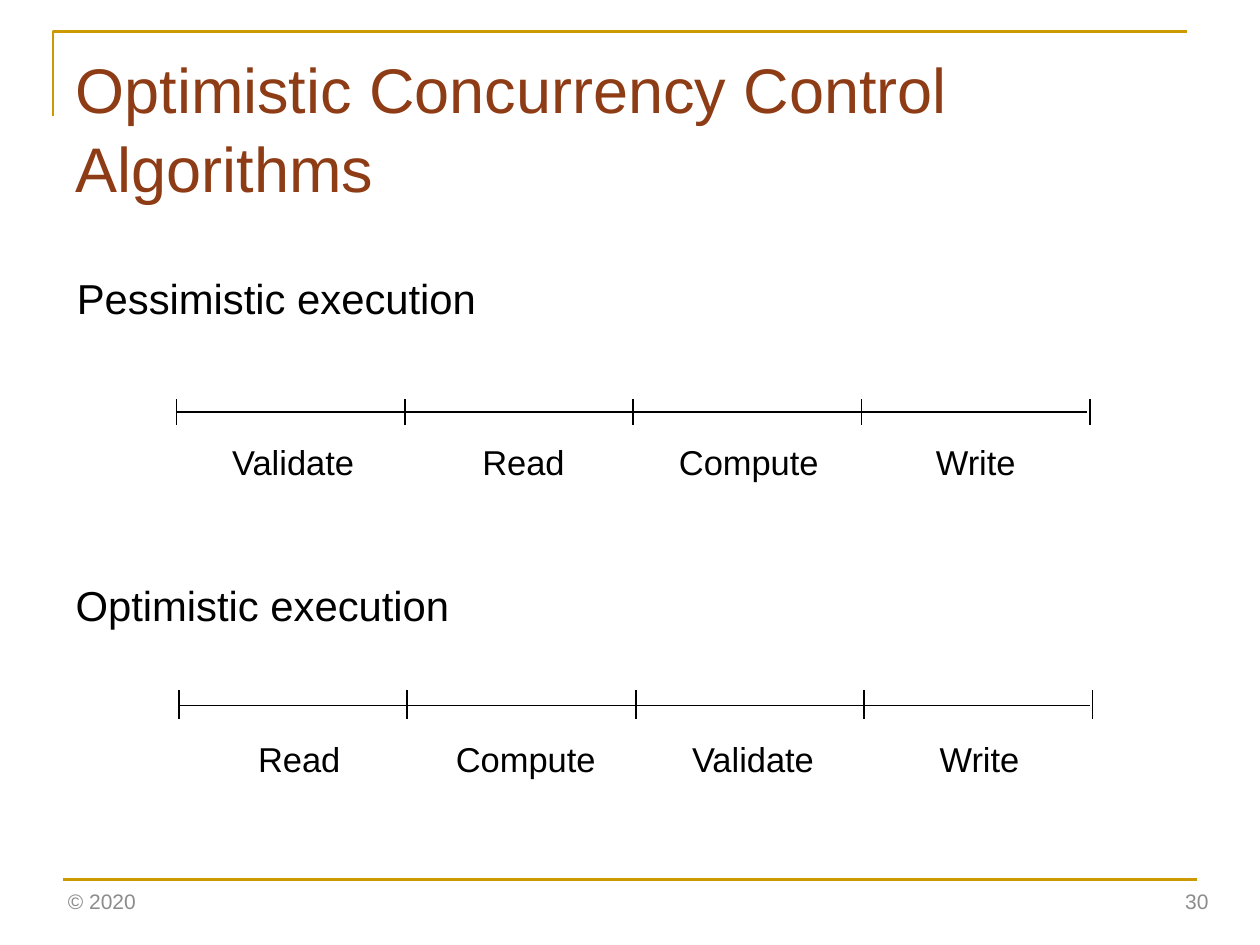
from dataclasses import dataclass

from lxml import etree
from pptx import Presentation
from pptx.dml.color import RGBColor
from pptx.enum.shapes import MSO_CONNECTOR
from pptx.enum.text import MSO_ANCHOR, MSO_AUTO_SIZE, PP_ALIGN
from pptx.oxml.ns import qn
from pptx.util import Inches, Pt

COLORS = {"title": "8D3C15", "rule": "CC9900", "ink": "000000", "footer": "8C8C8C"}
FONT = "Arial"
SPAN = 7.25
LABEL_WIDTHS = {"Validate": 1.23, "Read": 0.86, "Compute": 1.34, "Write": 0.84}


@dataclass
class Box:
    left: float
    top: float
    width: float
    height: float


@dataclass
class Phase:
    name: str
    center: float


@dataclass
class Timeline:
    heading: str
    heading_box: Box
    start: float
    axis_y: float
    tick_top: float
    tick_bottom: float
    label_top: float
    phases: list[Phase]


TIMELINES = [
    Timeline("Pessimistic execution", Box(0.54, 2.13, 3.34, 0.44),
             1.4, 3.27, 3.17, 3.37, 3.45,
             [Phase("Validate", 2.36), Phase("Read", 4.16),
              Phase("Compute", 5.96), Phase("Write", 7.75)]),
    Timeline("Optimistic execution", Box(0.53, 4.56, 3.22, 0.46),
             1.42, 5.6, 5.48, 5.71, 5.81,
             [Phase("Read", 2.38), Phase("Compute", 4.19),
              Phase("Validate", 6.01), Phase("Write", 7.78)]),
]


def rgb(name: str) -> RGBColor:
    return RGBColor.from_string(COLORS[name])


def set_font(p, size: float, color: str) -> None:
    p.font.name = FONT
    p.font.size = Pt(size)
    p.font.color.rgb = rgb(color)


def place(sp, box: Box) -> None:
    sp.left, sp.top = Inches(box.left), Inches(box.top)
    sp.width, sp.height = Inches(box.width), Inches(box.height)


def set_insets(tf, x: float, y: float) -> None:
    tf.margin_left = tf.margin_right = Inches(x)
    tf.margin_top = tf.margin_bottom = Inches(y)


def add_text(s, text: str, box: Box, size: float, color: str = "ink"):
    """Add a one-line text box that grows with its text."""
    sp = s.shapes.add_textbox(0, 0, 0, 0)
    tf = sp.text_frame
    tf.word_wrap = False
    tf.auto_size = MSO_AUTO_SIZE.SHAPE_TO_FIT_TEXT
    p = tf.paragraphs[0]
    p.text = text
    set_font(p, size, color)
    place(sp, box)
    return tf


def add_line(s, x1: float, y1: float, x2: float, y2: float,
             color: str = "ink", width: float = 1) -> None:
    line = s.shapes.add_connector(MSO_CONNECTOR.STRAIGHT, Inches(x1), Inches(y1),
                                  Inches(x2), Inches(y2))
    line.line.color.rgb = rgb(color)
    line.line.width = Pt(width)
    etree.SubElement(line._element.spPr, qn("a:effectLst"))


def add_frame(s) -> None:
    """Draw the corner rule above the title and the rule above the footer."""
    builder = s.shapes.build_freeform(Inches(0.42), Inches(0.92))
    builder.add_line_segments([(Inches(0.42), Inches(0.25)),
                               (Inches(9.42), Inches(0.25))], close=False)
    corner = builder.convert_to_shape()
    corner.shadow.inherit = False
    corner.fill.background()
    corner.line.color.rgb = rgb("rule")
    corner.line.width = Pt(1.5)
    add_line(s, 0.5, 6.98, 9.5, 6.98, "rule", 1.5)


def add_title(s, text: str) -> None:
    title = s.shapes.title
    place(title, Box(0.5, 0.3, 9, 1.25))
    tf = title.text_frame
    tf.auto_size = MSO_AUTO_SIZE.NONE
    tf.vertical_anchor = MSO_ANCHOR.TOP
    set_insets(tf, 0.1, 0.07)
    p = tf.paragraphs[0]
    p.text = text
    p.alignment = PP_ALIGN.LEFT
    p.line_spacing = 1.05
    set_font(p, 36, "title")


def add_timeline(s, t: Timeline) -> None:
    tf = add_text(s, t.heading, t.heading_box, 23.9)
    set_insets(tf, 0.07, 0.03)
    tf.paragraphs[0].line_spacing = 1.02

    add_line(s, t.start, t.axis_y, t.start + SPAN - 0.02, t.axis_y)
    count = len(t.phases)
    for i in range(count + 1):
        x = t.start + i * SPAN / count
        add_line(s, x, t.tick_top, x, t.tick_bottom)
    for phase in t.phases:
        width = LABEL_WIDTHS[phase.name]
        box = Box(phase.center - width / 2, t.label_top, width, 0.43)
        add_text(s, phase.name, box, 19.7)


def add_footer(s, text: str, box: Box, align: PP_ALIGN) -> None:
    tf = add_text(s, text, box, 12, "footer")
    tf.word_wrap = True
    tf.auto_size = MSO_AUTO_SIZE.NONE
    tf.vertical_anchor = MSO_ANCHOR.MIDDLE
    tf.paragraphs[0].alignment = align


def main() -> None:
    prs = Presentation()
    prs.slide_width, prs.slide_height = Inches(10), Inches(7.5)
    s = prs.slides.add_slide(prs.slide_layouts.get_by_name("Title Only"))
    add_frame(s)
    add_title(s, "Optimistic Concurrency Control Algorithms")
    for timeline in TIMELINES:
        add_timeline(s, timeline)
    add_footer(s, "© 2020", Box(0.44, 6.95, 3.38, 0.4), PP_ALIGN.LEFT)
    add_footer(s, "30", Box(7.44, 6.95, 2.25, 0.4), PP_ALIGN.RIGHT)
    prs.save("out.pptx")


if __name__ == "__main__":
    main()
